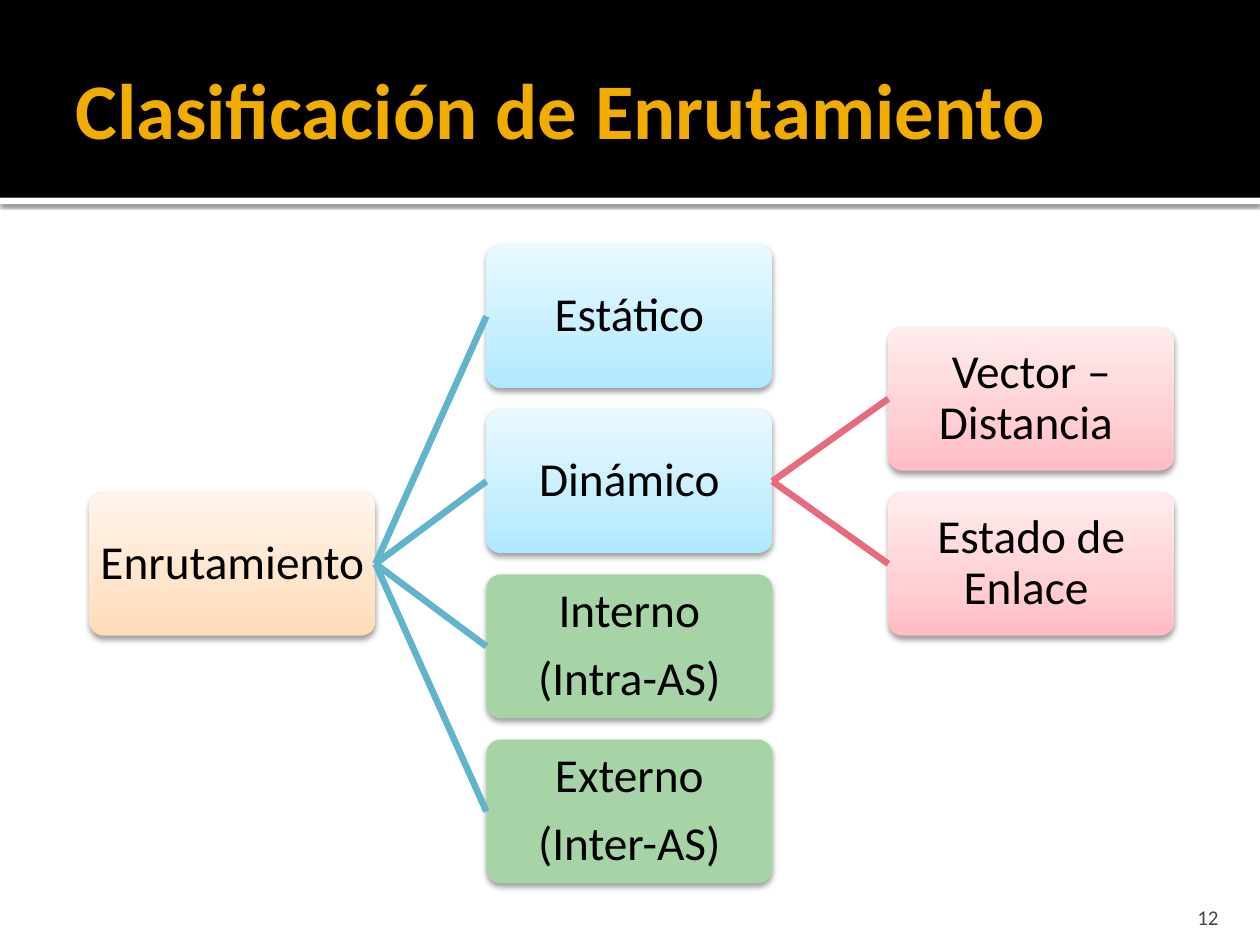
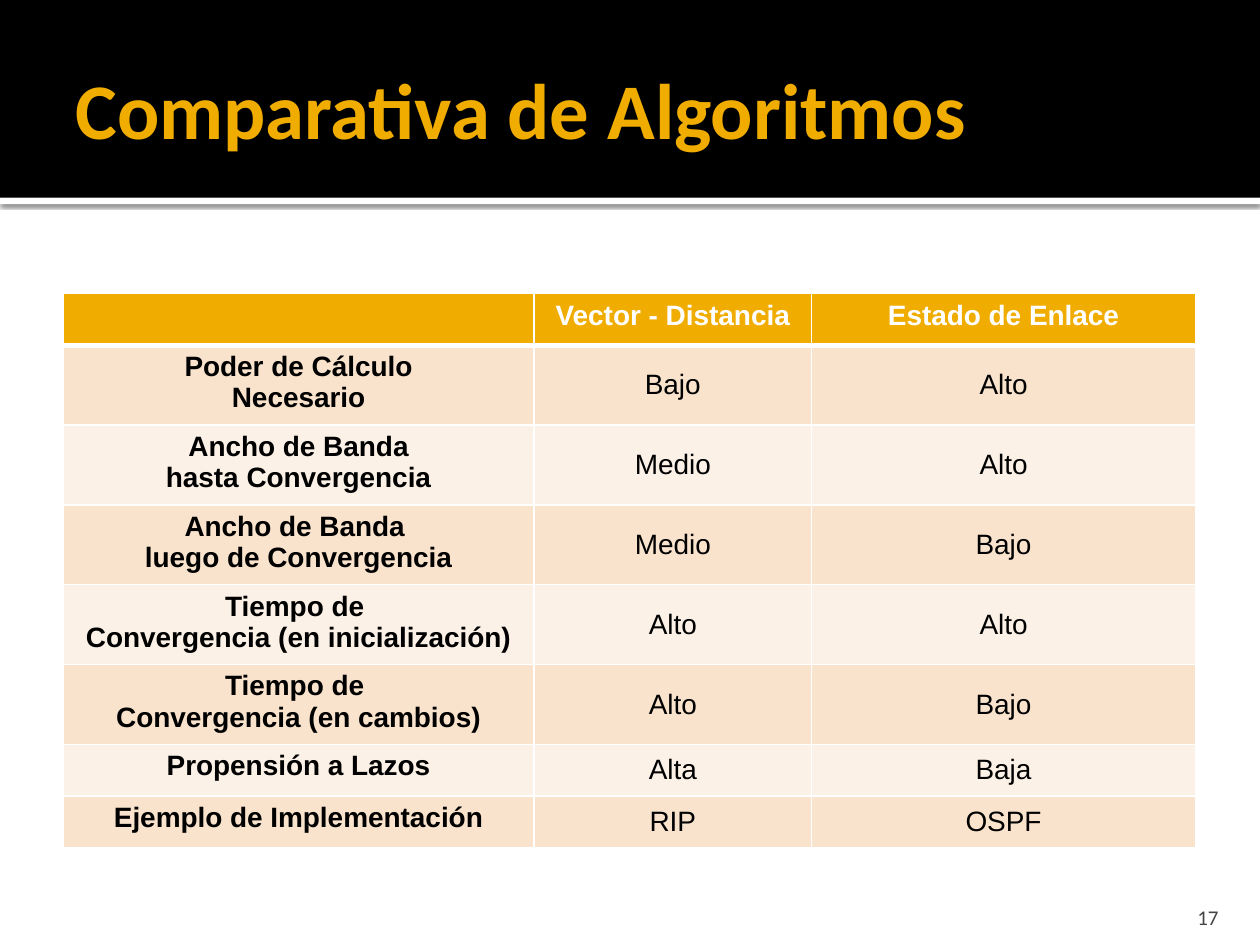
from dataclasses import dataclass
from typing import Optional

import lxml.etree
import pptx
import pptx.dml.color
import pptx.enum.shapes
import pptx.enum.text
import pptx.oxml.ns
import pptx.util

Inches = pptx.util.Inches
Pt = pptx.util.Pt
qn = pptx.oxml.ns.qn
Align = pptx.enum.text.PP_ALIGN
Anchor = pptx.enum.text.MSO_ANCHOR
Preset = pptx.enum.shapes.MSO_SHAPE


@dataclass(frozen=True)
class Theme:
    white: str = "FFFFFF"
    black: str = "000000"
    gold: str = "F0AD00"
    gray: str = "454545"
    blue_link: str = "60B5CC"
    red_link: str = "E66C7D"
    orange_fill: tuple[str, ...] = ("FFDBB5", "FFE5CB", "FFF5EB")
    blue_fill: tuple[str, ...] = ("ADE9FF", "C5EFFF", "E9F9FF")
    red_fill: tuple[str, ...] = ("FFBCC2", "FFCFD3", "FFEDEE")
    green_fill: tuple[str, ...] = ("A6D4A7",)
    row_fills: tuple[str, ...] = ("F9E3CC", "FCF1E7")
    font: str = "Calibri"
    table_font: str = "Arial"
    title_size: float = 45
    node_size: float = 27
    table_size: float = 16
    number_size: float = 12


THEME = Theme()


@dataclass(frozen=True)
class Shadow:
    opacity: int
    blur: float
    distance: float


@dataclass(frozen=True)
class Style:
    size: float
    color: str
    font: str = THEME.font
    bold: bool = False
    align: Align = Align.LEFT
    line_spacing: Optional[float] = None
    space_after: float = 0


@dataclass(frozen=True)
class Node:
    text: str
    column: int
    level: float
    fill: tuple[str, ...]
    parent: Optional[str] = None
    link: str = THEME.blue_link


@dataclass(frozen=True)
class Criterion:
    name: str
    distance_vector: str
    link_state: str


STRIP_SHADOW = Shadow(60, 2.5, 0.8)
NODE_SHADOW = Shadow(38, 3.5, 2)
TITLE = Style(THEME.title_size, THEME.gold, bold=True)
NUMBER = Style(THEME.number_size, THEME.gray, align=Align.RIGHT)
NODE = Style(THEME.node_size, THEME.black, align=Align.CENTER,
             line_spacing=0.9, space_after=0.35 * THEME.node_size)

COLUMN_LEFTS = (0.71, 3.86, 7.05)
NODE_TOP, NODE_PITCH = 1.94, 1.31
NODE_WIDTH, NODE_HEIGHT = 2.27, 1.14
LEFT_SITE, RIGHT_SITE = 1, 3

NODES = (
    Node("Enrutamiento", 0, 1.5, THEME.orange_fill),
    Node("Estático", 1, 0, THEME.blue_fill, "Enrutamiento"),
    Node("Dinámico", 1, 1, THEME.blue_fill, "Enrutamiento"),
    Node("Interno\n(Intra-AS)", 1, 2, THEME.green_fill, "Enrutamiento"),
    Node("Externo\n(Inter-AS)", 1, 3, THEME.green_fill, "Enrutamiento"),
    Node("Vector – Distancia ", 2, 0.5, THEME.red_fill, "Dinámico", THEME.red_link),
    Node("Estado de Enlace ", 2, 1.5, THEME.red_fill, "Dinámico", THEME.red_link),
)

HEADINGS = Criterion("", "Vector - Distancia", "Estado de Enlace")
CRITERIA = (
    Criterion("Poder de Cálculo\nNecesario", "Bajo", "Alto"),
    Criterion("Ancho de Banda\nhasta Convergencia", "Medio", "Alto"),
    Criterion("Ancho de Banda \nluego de Convergencia", "Medio", "Bajo"),
    Criterion("Tiempo de \nConvergencia (en inicialización)", "Alto", "Alto"),
    Criterion("Tiempo de \nConvergencia (en cambios)", "Alto", "Bajo"),
    Criterion("Propensión a Lazos", "Alta", "Baja"),
    Criterion("Ejemplo de Implementación", "RIP", "OSPF"),
)
TABLE_COLUMNS = (3.74, 2.2, 3.05)
ONE_LINE_ROW, TWO_LINE_ROW = 0.41, 0.59


def rgb(color: str) -> pptx.dml.color.RGBColor:
    return pptx.dml.color.RGBColor.from_string(color)


def write(frame, text: str, style: Style) -> None:
    frame.text = text
    for paragraph in frame.paragraphs:
        paragraph.alignment = style.align
        paragraph.line_spacing = style.line_spacing
        paragraph.space_after = Pt(style.space_after)
        for run in paragraph.runs:
            run.font.name = style.font
            run.font.size = Pt(style.size)
            run.font.bold = style.bold
            run.font.color.rgb = rgb(style.color)


def set_margins(frame, left: float, top: float, right: float, bottom: float) -> None:
    frame.margin_left, frame.margin_top = Inches(left), Inches(top)
    frame.margin_right, frame.margin_bottom = Inches(right), Inches(bottom)


def paint(shape, colors: tuple[str, ...]) -> None:
    if len(colors) == 1:
        shape.fill.solid()
        shape.fill.fore_color.rgb = rgb(colors[0])
        return
    shape.fill.gradient()
    shape.fill.gradient_angle = 90
    stops = shape._element.spPr.find(qn("a:gradFill")).find(qn("a:gsLst"))
    for stop in list(stops):
        stops.remove(stop)
    for position, color in zip((0, 35, 100), colors):
        stop = lxml.etree.SubElement(stops, qn("a:gs"), pos=str(position * 1000))
        lxml.etree.SubElement(stop, qn("a:srgbClr"), val=color)


def cast_shadow(shape, shadow: Shadow) -> None:
    effects = shape._element.spPr.find(qn("a:effectLst"))
    outer = lxml.etree.SubElement(
        effects, qn("a:outerShdw"), blurRad=str(Pt(shadow.blur)),
        dist=str(Pt(shadow.distance)), dir="5400000", rotWithShape="0")
    color = lxml.etree.SubElement(outer, qn("a:srgbClr"), val=THEME.black)
    lxml.etree.SubElement(color, qn("a:alpha"), val=str(shadow.opacity * 1000))


def add_panel(slide, preset: Preset, left: float, top: float, width: float,
              height: float, colors: tuple[str, ...], shadow: Optional[Shadow] = None):
    panel = slide.shapes.add_shape(
        preset, Inches(left), Inches(top), Inches(width), Inches(height))
    panel.shadow.inherit = False
    panel.line.fill.background()
    paint(panel, colors)
    if shadow:
        cast_shadow(panel, shadow)
    return panel


def add_label(slide, text: str, left: float, top: float, width: float, height: float,
              margins: tuple[float, ...], anchor: Anchor, style: Style) -> None:
    frame = slide.shapes.add_textbox(
        Inches(left), Inches(top), Inches(width), Inches(height)).text_frame
    frame.word_wrap = True
    frame.vertical_anchor = anchor
    set_margins(frame, *margins)
    write(frame, text, style)


def add_titled_slide(deck, title: str, number: int):
    slide = deck.slides.add_slide(deck.slide_layouts[6])
    slide.background.fill.solid()
    slide.background.fill.fore_color.rgb = rgb(THEME.white)
    add_panel(slide, Preset.RECTANGLE, 0, 1.57, 10, 0.05, (THEME.white,), STRIP_SHADOW)
    add_panel(slide, Preset.RECTANGLE, 0, 0, 10, 1.57, (THEME.black,))
    add_label(slide, title, 0.5, 0.17, 9, 1.37, (0.1, 0.05, 0.05, 0.05),
              Anchor.MIDDLE, TITLE)
    add_label(slide, str(number), 8.97, 7.08, 0.8, 0.3, (0.1, 0.05, 0.1, 0),
              Anchor.BOTTOM, NUMBER)
    return slide


def add_node(slide, node: Node):
    box = add_panel(slide, Preset.ROUNDED_RECTANGLE, COLUMN_LEFTS[node.column],
                    NODE_TOP + node.level * NODE_PITCH, NODE_WIDTH, NODE_HEIGHT,
                    node.fill, NODE_SHADOW)
    box.adjustments[0] = 0.1
    box.text_frame.word_wrap = True
    box.text_frame.vertical_anchor = Anchor.MIDDLE
    set_margins(box.text_frame, 0.05, 0.05, 0.05, 0.05)
    write(box.text_frame, node.text, NODE)
    return box


def link_nodes(slide, parent, child, color: str) -> None:
    link = slide.shapes.add_connector(
        pptx.enum.shapes.MSO_CONNECTOR.STRAIGHT, 0, 0, 0, 0)
    link.begin_connect(parent, RIGHT_SITE)
    link.end_connect(child, LEFT_SITE)
    link.line.color.rgb = rgb(color)
    link.line.width = Pt(3.78)
    lxml.etree.SubElement(link._element.spPr, qn("a:effectLst"))


def draw_tree(slide) -> None:
    boxes = {}
    for node in NODES:
        boxes[node.text] = add_node(slide, node)
        if node.parent:
            link_nodes(slide, boxes[node.parent], boxes[node.text], node.link)


def set_borders(cell, top: float, bottom: float) -> None:
    properties = cell._tc.get_or_add_tcPr()
    sides = (("a:lnL", 1), ("a:lnR", 1), ("a:lnT", top), ("a:lnB", bottom))
    for place, (side, width) in enumerate(sides):
        border = lxml.etree.Element(qn(side), w=str(Pt(width)))
        fill = lxml.etree.SubElement(border, qn("a:solidFill"))
        lxml.etree.SubElement(fill, qn("a:srgbClr"), val=THEME.white)
        properties.insert(place, border)


def draw_comparison(slide) -> None:
    rows = (HEADINGS,) + CRITERIA
    heights = [TWO_LINE_ROW if "\n" in row.name else ONE_LINE_ROW for row in rows]
    table = slide.shapes.add_table(
        len(rows), len(TABLE_COLUMNS), Inches(0.5), Inches(2.33),
        Inches(sum(TABLE_COLUMNS)), Inches(sum(heights))).table
    for column, width in zip(table.columns, TABLE_COLUMNS):
        column.width = Inches(width)
    for index, (row, height) in enumerate(zip(rows, heights)):
        table.rows[index].height = Inches(height)
        heading = index == 0
        fill = THEME.gold if heading else THEME.row_fills[(index - 1) % 2]
        texts = (row.name, row.distance_vector, row.link_state)
        for position, text in enumerate(texts):
            cell = table.cell(index, position)
            is_value = not heading and position > 0
            cell.fill.solid()
            cell.fill.fore_color.rgb = rgb(fill)
            cell.vertical_anchor = Anchor.MIDDLE if is_value else Anchor.TOP
            set_borders(cell, 3 if index == 1 else 1, 3 if heading else 1)
            write(cell.text_frame, text, Style(
                THEME.table_size, THEME.white if heading else THEME.black,
                THEME.table_font, not is_value, Align.CENTER))


def main() -> None:
    deck = pptx.Presentation()
    deck.slide_width, deck.slide_height = Inches(10), Inches(7.5)
    draw_tree(add_titled_slide(deck, "Clasificación de Enrutamiento", 12))
    draw_comparison(add_titled_slide(deck, "Comparativa de Algoritmos", 17))
    deck.save("out.pptx")


if __name__ == "__main__":
    main()
